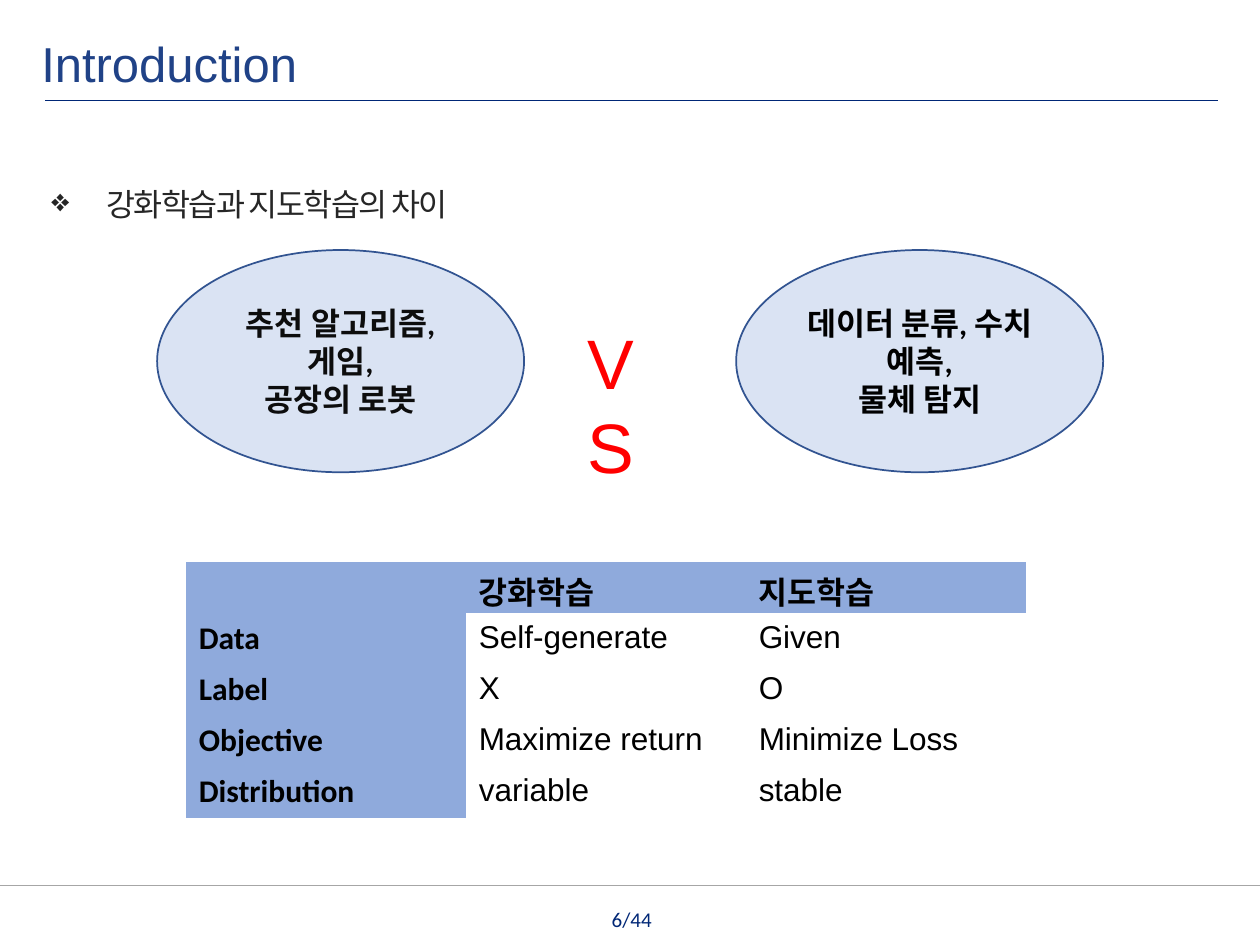
import pptx
import pptx.dml.color
import pptx.enum.shapes
import pptx.enum.text
import pptx.oxml
import pptx.oxml.ns
import pptx.util

Pt = pptx.util.Pt
ALIGN = pptx.enum.text.PP_ALIGN
ANCHOR = pptx.enum.text.MSO_ANCHOR
COLORS = {
    "navy": "002776", "title": "204287", "rule": "A6A6A6", "body": "262626",
    "black": "000000", "ink": "0D0D0D", "red": "FF0000",
    "header": "8FAADC", "oval": "DAE3F3", "outline": "325491",
}
KOREAN = "Noto Sans CJK KR"
NO_STYLE_NO_GRID = "{2D5ABB26-0587-4C30-8999-92F81FD0307C}"


def color(name):
    """Return the named palette colour."""
    return pptx.dml.color.RGBColor.from_string(COLORS[name])


def add_node(parent, tag, **attributes):
    """Append a DrawingML element to a parent element."""
    node = pptx.oxml.parse_xml(f"<a:{tag} {pptx.oxml.ns.nsdecls('a')}/>")
    for key, value in attributes.items():
        node.set(key, value)
    parent.append(node)


def write(frame, text, size=18, font="Calibri", ink="black", bold=False,
          align=ALIGN.LEFT, spacing=None, tracking=None):
    """Write each line of text as one formatted paragraph."""
    frame.word_wrap = True
    for index, line in enumerate(text.split("\n")):
        para = frame.paragraphs[0] if index == 0 else frame.add_paragraph()
        para.alignment = align
        para.line_spacing = spacing
        span = para.add_run()
        span.text = line
        span.font.size = Pt(size)
        span.font.name = font
        span.font.bold = bold
        span.font.color.rgb = color(ink)
        add_node(span.font._element, "ea", typeface=KOREAN)
        if tracking is not None:
            span.font._element.set("spc", str(round(tracking * 100)))


def add_text(slide, box, text, **style):
    """Place a text box and return its frame."""
    frame = slide.shapes.add_textbox(*map(Pt, box)).text_frame
    write(frame, text, **style)
    return frame


def add_rule(slide, left, top, width, ink, weight):
    """Draw a horizontal rule."""
    rule = slide.shapes.add_connector(
        pptx.enum.shapes.MSO_CONNECTOR.STRAIGHT,
        Pt(left), Pt(top), Pt(left + width), Pt(top))
    rule.line.color.rgb = color(ink)
    rule.line.width = Pt(weight)
    add_node(rule._element.spPr, "effectLst")


def add_heading(slide, left, top, width, height):
    """Place the title above its rule."""
    add_text(slide, (left, top, width, height), "Introduction",
             size=28, font="Arial", ink="title")
    add_rule(slide, left + 9.4, top + 41.8, 670.3, "navy", 0.75)


def add_topic(slide, left, top, width, height):
    """Place the bulleted topic line."""
    frame = add_text(slide, (left, top, width, height), "강화학습과 지도학습의 차이",
                     font=KOREAN, ink="body", spacing=1.5, tracking=-0.9)
    properties = frame.paragraphs[0]._p.get_or_add_pPr()
    indent = Pt(31.5)
    properties.set("marL", str(indent))
    properties.set("indent", str(-indent))
    add_node(properties, "buChar", char="❖")


def add_oval(slide, box, text, ink):
    """Draw one labelled ellipse."""
    oval = slide.shapes.add_shape(
        pptx.enum.shapes.MSO_SHAPE.OVAL, *map(Pt, box))
    oval.shadow.inherit = False
    oval.fill.solid()
    oval.fill.fore_color.rgb = color("oval")
    oval.line.color.rgb = color("outline")
    oval.line.width = Pt(1)
    oval.text_frame.vertical_anchor = ANCHOR.MIDDLE
    write(oval.text_frame, text, ink=ink, bold=True, align=ALIGN.CENTER)


def add_versus(slide, left, top, width, height):
    """Set two ellipses at the ends of the box with VS between them."""
    oval_width = 209.7
    add_oval(slide, (left, top, oval_width, height),
             "추천 알고리즘,\n게임,\n공장의 로봇", "ink")
    add_oval(slide, (left + width - oval_width, top, oval_width, height),
             "데이터 분류, 수치 예측,\n물체 탐지", "black")
    add_text(slide, (left + 239, top + 36, 61, 55.4), "VS",
             size=40, font="Arial", ink="red")


def add_comparison(slide, left, top, width, height):
    """Build the table with a shaded first row and first column."""
    rows = [
        ("", "강화학습", "지도학습"),
        ("Data", "Self-generate", "Given"),
        ("Label", "X", "O"),
        ("Objective", "Maximize return", "Minimize Loss"),
        ("Distribution", "variable", "stable"),
    ]
    frame = slide.shapes.add_table(
        len(rows), len(rows[0]), Pt(left), Pt(top), Pt(width), Pt(height))
    table = frame.table
    table.first_row = table.horz_banding = False
    table._tbl.tblPr.find(pptx.oxml.ns.qn("a:tableStyleId")).text = NO_STYLE_NO_GRID
    for row, texts in enumerate(rows):
        for column, text in enumerate(texts):
            cell = table.cell(row, column)
            shaded = row == 0 or column == 0
            if shaded:
                cell.fill.solid()
                cell.fill.fore_color.rgb = color("header")
            else:
                cell.fill.background()
            if row == 0:
                cell.margin_bottom = Pt(0)
            if text:
                write(cell.text_frame, text, bold=shaded,
                      font="Calibri" if shaded else "Arial")


def add_footer(slide, left, top, width, height):
    """Place the page number under a full-width rule."""
    add_rule(slide, left, top, width, "rule", 0.25)
    number_width = 175
    frame = add_text(
        slide, (left + (width - number_width) / 2 + 1, top + 17.3, number_width, 15),
        "6/44", size=12, ink="navy", align=ALIGN.CENTER, spacing=Pt(9))
    frame.margin_left = frame.margin_right = Pt(0)
    frame.margin_top = frame.margin_bottom = Pt(0)


def main():
    """Build and save the slide."""
    deck = pptx.Presentation()
    deck.slide_width, deck.slide_height = Pt(720), Pt(540)
    slide = deck.slides.add_slide(deck.slide_layouts[6])
    add_footer(slide, 0, 506, 720, 34)
    add_heading(slide, 16.5, 15.6, 611, 41)
    add_topic(slide, 22.3, 91.4, 675, 36)
    add_comparison(slide, 106.4, 321.2, 480, 146)
    add_versus(slide, 89.8, 142.9, 540.6, 127)
    deck.save("out.pptx")


if __name__ == "__main__":
    main()
